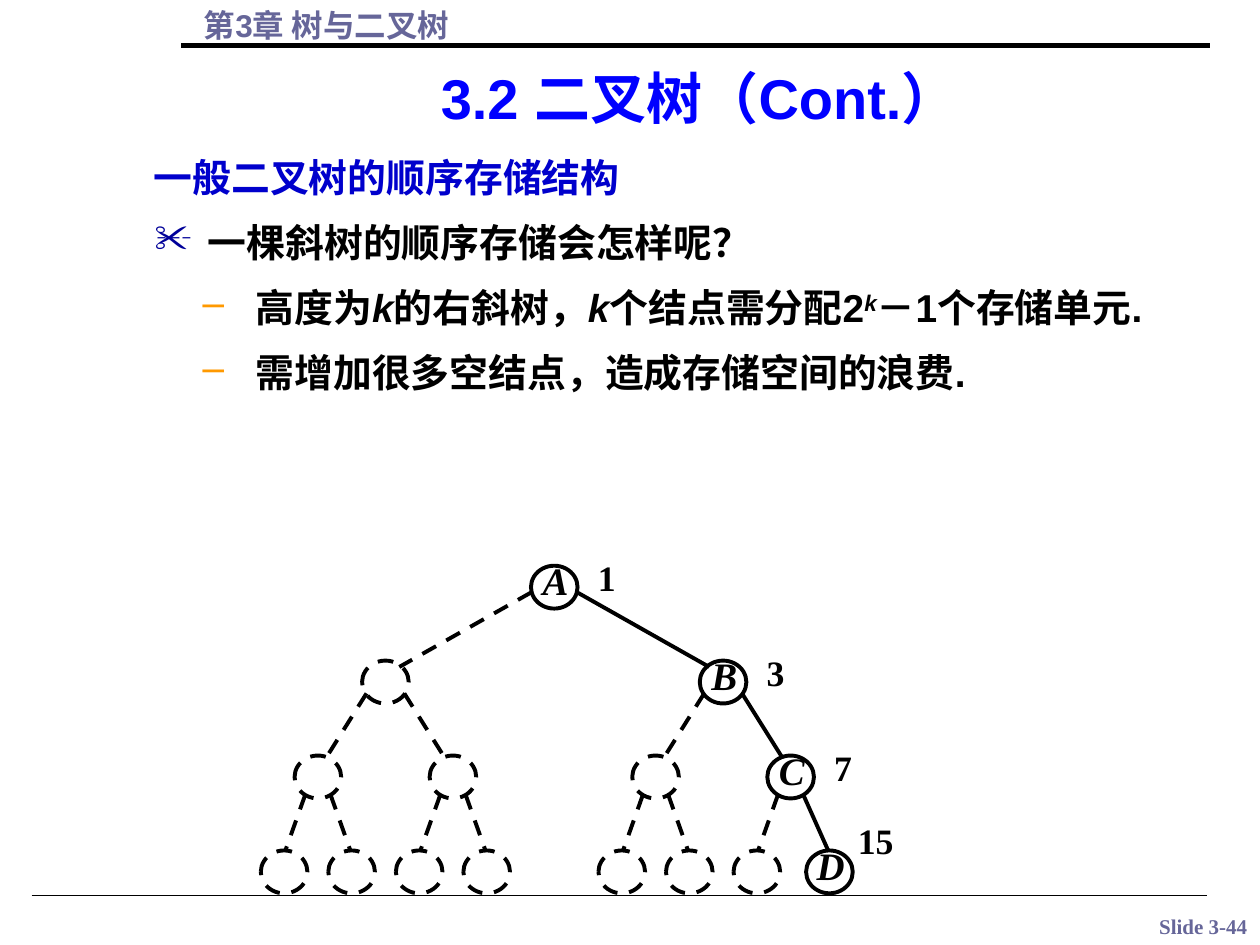
import pptx
import pptx.util
import pptx.dml.color
import pptx.enum.dml
import pptx.enum.shapes
import pptx.enum.text
import pptx.oxml
import pptx.oxml.ns

WIDE, HIGH = 10, 7.5
LEFT, TOP = 2.07, 4.49
COL = (6.09 - LEFT) / 15
ROW = (6.75 - TOP) / 3
NODE = (0.37, 0.34)
SERIF, SANS = "Times New Roman", "Arial"
ALIGN = pptx.enum.text.PP_ALIGN
inch = pptx.util.Inches

ROWS = [[8], [3, 13], [1, 5, 11, 15], [0, 2, 4, 6, 10, 12, 14, 16.15]]
REAL = {(0, 0): ("A", "1"), (1, 1): ("B", "3"),
        (2, 3): ("C", "7"), (3, 7): ("D", "15")}
GAPS = [(0.18, 0.04, 0.11, 0.12), (0.15, 0.09, 0.07, 0.16), (0.1, 0.14, 0.01, 0.17)]


def tint(code):
    return pptx.dml.color.RGBColor.from_string(code)


def share(x, y, w, h):
    return x * WIDE, y * HIGH, w * WIDE, h * HIGH


def box(shapes, area, inset=(0.1, 0.05, 0.1, 0.05)):
    frame = shapes.add_textbox(*map(inch, area)).text_frame
    frame.word_wrap = True
    sides = map(inch, inset)
    (frame.margin_left, frame.margin_top,
     frame.margin_right, frame.margin_bottom) = sides
    return frame


def write(para, text, size, face, code, slant=False, base=0):
    run = para.add_run()
    run.text = text
    font = run.font
    font.size, font.name = pptx.util.Pt(size), face
    font.bold, font.italic = True, slant
    font.color.rgb = tint(code)
    if base:
        run._r.get_or_add_rPr().set("baseline", str(base))


def mark(para, sign, code, edge, hang=0.42):
    props = para._p.get_or_add_pPr()
    props.set("marL", str(inch(edge)))
    props.set("indent", str(-inch(hang)))
    space = pptx.oxml.ns.nsdecls("a")
    for part in (f'<a:buClr {space}><a:srgbClr val="{code}"/></a:buClr>',
                 f'<a:buChar {space} char="{sign}"/>'):
        props.append(pptx.oxml.parse_xml(part))


def stroke(line, width, dash=False):
    line.color.rgb = tint("000000")
    line.width = pptx.util.Pt(width)
    if dash:
        line.dash_style = pptx.enum.dml.MSO_LINE.DASH


def rule(shapes, start, end, width, dash=False):
    kind = pptx.enum.shapes.MSO_CONNECTOR.STRAIGHT
    line = shapes.add_connector(kind, *map(inch, (*start, *end)))
    stroke(line.line, width, dash)
    space = pptx.oxml.ns.nsdecls("a")
    line._element.spPr.append(pptx.oxml.parse_xml(f"<a:effectLst {space}/>"))


def label(shapes, area, text, size, slant=False):
    para = box(shapes, area, (0, 0.02, 0, 0)).paragraphs[0]
    para.alignment = ALIGN.CENTER if slant else ALIGN.JUSTIFY
    para.line_spacing = 0.9
    write(para, text, size, SERIF, "000000", slant)


def spot(row, place):
    return LEFT + COL * ROWS[row][place], TOP + ROW * row


def ring(shapes, row, place):
    x, y = spot(row, place)
    names = REAL.get((row, place))
    if names:
        label(shapes, (x + 0.04, y - 0.05, 0.31, 0.4), names[0], 22.2, True)
        dx, dy = (0.41, -0.23) if row == 3 else (0.53, -0.06)
        label(shapes, (x + dx, y + dy, 0.38, 0.37), names[1], 20.4)
    oval = shapes.add_shape(pptx.enum.shapes.MSO_SHAPE.OVAL,
                            *map(inch, (x, y, *NODE)))
    oval.shadow.inherit = False
    oval.fill.background()
    stroke(oval.line, 2.25, not names)


def branch(shapes, row, place):
    kid = (row + 1, place)
    x, y = spot(row, place // 2)
    u, v = spot(*kid)
    mid, half = NODE[0] / 2, NODE[1] / 2
    side = 1 if place % 2 else -1
    dx, dy, du, dv = GAPS[row]
    rule(shapes, (x + mid + side * dx, y + half + dy),
         (u + mid - side * du, v + half - dv), 2.25, kid not in REAL)


def tree(slide):
    shapes = slide.shapes.add_group_shape().shapes
    for row, line in enumerate(ROWS):
        for place in range(len(line)):
            ring(shapes, row, place)
            if row:
                branch(shapes, row - 1, place)


def frame(slide):
    shapes = slide.shapes
    foot = box(shapes, share(0.88, 0.96, 0.15, 0.04))
    foot.word_wrap = False
    foot.paragraphs[0].alignment = ALIGN.CENTER
    write(foot.paragraphs[0], "Slide 3-44", 12, SERIF, "666699")
    head = box(shapes, (1.52, 0, 8.03, 0.4))
    write(head.paragraphs[0], "第3章 树与二叉树", 18, SANS, "666699")
    rule(shapes, (1.44, 0.36), (9.6, 0.36), 3)
    rule(shapes, (0.25, 7.11), (9.58, 7.11), 0.75)
    title = box(shapes, (1.36, 0.42, 8.38, 0.67))
    title.vertical_anchor = pptx.enum.text.MSO_ANCHOR.BOTTOM
    title.paragraphs[0].alignment = ALIGN.CENTER
    write(title.paragraphs[0], "3.2 二叉树（Cont.）", 32, SANS, "0000FF")


def body(slide):
    text = box(slide.shapes, (0.2, 1.21, 9.64, 2.17))
    looks = [("", "CC6600", 0.92, SERIF, "0000CC"),
             ("✂", "000099", 1.35, SANS, "000000"),
             ("–", "FF9900", 1.73, SANS, "000000")]
    items = [
        (0, [("一般二叉树的顺序存储结构",)]),
        (1, [("一棵斜树的顺序存储会怎样呢？",)]),
        (2, [("高度为",), ("k", True), ("的右斜树，",), ("k", True),
             ("个结点需分配2",), ("k", True, 30000), ("－1个存储单元.",)]),
        (2, [("需增加很多空结点，造成存储空间的浪费.",)]),
    ]
    for turn, (level, runs) in enumerate(items):
        para = text.add_paragraph() if turn else text.paragraphs[0]
        sign, shade, edge, face, code = looks[level]
        para.level = level
        mark(para, sign, shade, edge)
        if turn:
            para.space_before = pptx.util.Pt(10.5)
        else:
            para.line_spacing = 0.9
        for words, *style in runs:
            write(para, words, 22.2, face, code, *style)


def main():
    deck = pptx.Presentation()
    deck.slide_width, deck.slide_height = inch(WIDE), inch(HIGH)
    slide = deck.slides.add_slide(deck.slide_layouts[6])
    frame(slide)
    body(slide)
    tree(slide)
    deck.save("out.pptx")


if __name__ == "__main__":
    main()
